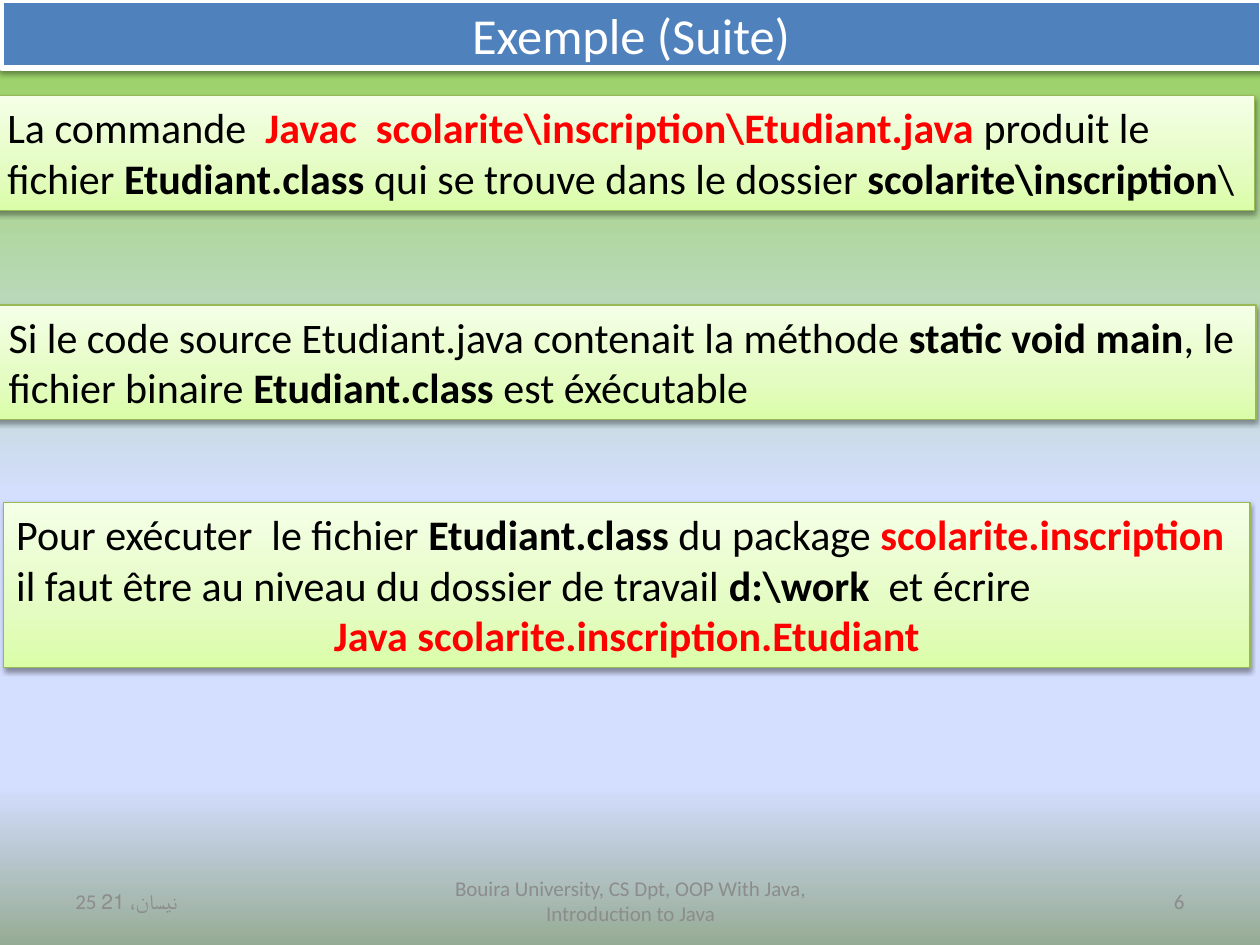
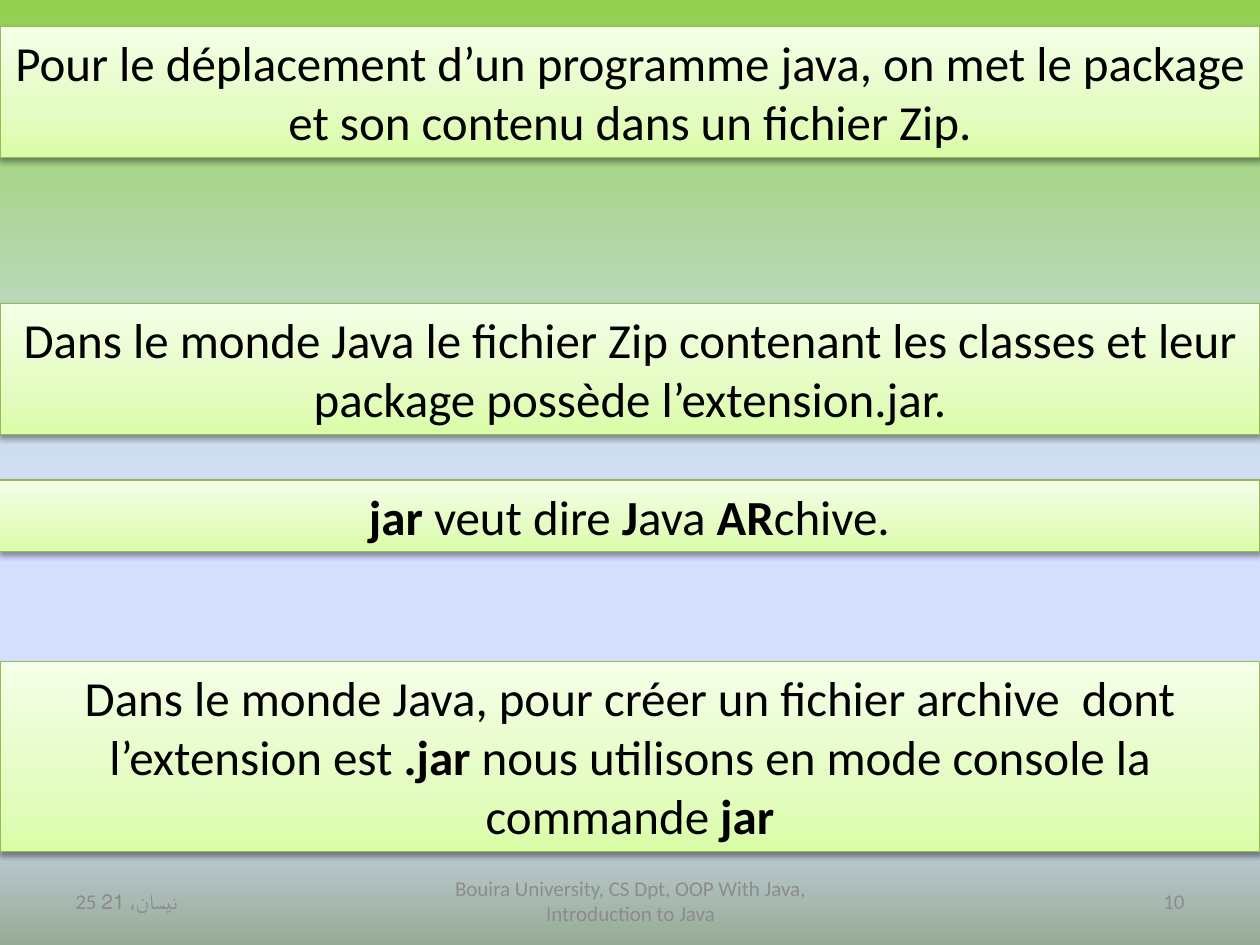
from copy import deepcopy
from lxml.etree import SubElement
from pptx import Presentation
from pptx.dml.color import RGBColor
from pptx.enum.shapes import MSO_SHAPE
from pptx.enum.text import MSO_ANCHOR, MSO_AUTO_SIZE, PP_ALIGN
from pptx.oxml.ns import qn
from pptx.util import Inches, Pt

BLACK = RGBColor(0, 0, 0)
WHITE = RGBColor(255, 255, 255)
RED = RGBColor(255, 0, 0)
BLUE = RGBColor(0x4F, 0x81, 0xBD)
GREY = RGBColor(0x8C, 0x8C, 0x8C)
EDGE = RGBColor(0x98, 0xB9, 0x55)
SKY = [(0, RGBColor(0x92, 0xD0, 0x50)), (53, RGBColor(0xD4, 0xDE, 0xFF)),
       (83, RGBColor(0xD4, 0xDE, 0xFF)), (100, RGBColor(0x96, 0xAB, 0x94))]
LIME = [(0, RGBColor(0xDA, 0xFD, 0xA7)), (35, RGBColor(0xE4, 0xFC, 0xC2)),
        (100, RGBColor(0xF5, 0xFF, 0xE7))]
FONT = "Calibri"
WIDE, HIGH = 10, 7.5
LEFT, MID, RIGHT = PP_ALIGN.LEFT, PP_ALIGN.CENTER, PP_ALIGN.RIGHT
LOOKS = {"plain": (BLACK, False), "bold": (BLACK, True), "red": (RED, True)}

DATE = "25 نيسان، 21"
NOTE = "Bouira University, CS Dpt, OOP With Java, Introduction to Java"

SLIDES = [
    {"title": "Exemple (Suite)", "page": "6", "size": 24, "boxes": [
        ((-0.04, 0.76, WIDE, 0.91), [(LEFT, [
            ("La commande  ", "plain"),
            ("Javac  scolarite\\inscription\\Etudiant.java ", "red"),
            ("produit le fichier ", "plain"),
            ("Etudiant.class", "bold"),
            (" qui se trouve dans le dossier ", "plain"),
            ("scolarite\\inscription", "bold"),
            ("\\", "plain")])]),
        ((-0.03, 2.42, WIDE, 0.91), [(LEFT, [
            ("Si le code source Etudiant.java contenait la méthode ", "plain"),
            ("static void main", "bold"),
            (", le fichier binaire ", "plain"),
            ("Etudiant.class ", "bold"),
            ("est éxécutable", "plain")])]),
        ((0.03, 3.99, 9.89, 1.31), [
            (LEFT, [
                ("Pour exécuter  le fichier ", "plain"),
                ("Etudiant.class", "bold"),
                (" du package ", "plain"),
                ("scolarite.inscription ", "red"),
                ("il faut être au niveau du dossier de travail ", "plain"),
                ("d:\\work ", "bold"),
                (" et écrire", "plain")]),
            (MID, [("Java scolarite.inscription.Etudiant", "red")])]),
    ]},
    {"title": None, "page": "10", "size": 28, "boxes": [
        ((0, 0.21, WIDE, 1.04), [(MID, [
            ("Pour le déplacement d’un programme java, on met le package "
             "et son contenu dans un fichier Zip.", "plain")])]),
        ((0, 2.41, WIDE, 1.04), [(MID, [
            ("Dans le monde Java le fichier Zip contenant les classes et leur "
             "package possède l’extension.jar.", "plain")])]),
        ((-0.01, 3.81, 10.01, 0.57), [(MID, [
            ("jar", "bold"), (" veut dire ", "plain"), ("J", "bold"),
            ("ava ", "plain"), ("AR", "bold"), ("chive.", "plain")])]),
        ((0, 5.25, WIDE, 1.51), [(MID, [
            ("Dans le monde Java, pour créer un fichier archive  dont "
             "l’extension est ", "plain"),
            (".jar ", "bold"),
            ("nous utilisons en mode console la commande ", "plain"),
            ("jar", "bold")])]),
    ]},
]


def blend(fill, owner, stops, angle):
    fill.gradient()
    fill.gradient_angle = angle
    row = owner.element.find(".//" + qn("a:gsLst"))
    seed = deepcopy(row[0])
    for old in list(row):
        row.remove(old)
    for at, tone in stops:
        stop = deepcopy(seed)
        for child in list(stop):
            stop.remove(child)
        stop.set("pos", str(at * 1000))
        SubElement(stop, qn("a:srgbClr"), val=str(tone))
        row.append(stop)


def shade(shape):
    shape.shadow.inherit = False
    group = shape.element.spPr.find(qn("a:effectLst"))
    cast = SubElement(group, qn("a:outerShdw"), blurRad=str(Pt(3.1)),
                      dist=str(Pt(1.6)), dir="5400000", rotWithShape="0")
    tone = SubElement(cast, qn("a:srgbClr"), val=str(BLACK))
    SubElement(tone, qn("a:alpha"), val="38000")


def place(shape, spot):
    shape.left, shape.top, shape.width, shape.height = map(Inches, spot)


def frame(shape, color, width):
    shape.line.color.rgb = color
    shape.line.width = Pt(width)
    shade(shape)


def write(para, text, size, color, bold=False):
    run = para.add_run()
    run.text = text
    run.font.name = FONT
    run.font.size = Pt(size)
    run.font.bold = bold
    run.font.color.rgb = color


def head(slide, text):
    title = slide.shapes.title
    place(title, (0.01, 0, WIDE, 0.54))
    title.fill.solid()
    title.fill.fore_color.rgb = BLUE
    frame(title, WHITE, 3)
    body = title.text_frame
    body.auto_size = MSO_AUTO_SIZE.NONE
    body.vertical_anchor = MSO_ANCHOR.MIDDLE
    para = body.paragraphs[0]
    para.alignment = MID
    write(para, text, 28.8, WHITE)


def panel(slide, spot, paras, size):
    box = slide.shapes.add_shape(MSO_SHAPE.RECTANGLE, *map(Inches, spot))
    blend(box.fill, box, LIME, 90)
    frame(box, EDGE, 0.75)
    body = box.text_frame
    body.word_wrap = True
    body.vertical_anchor = MSO_ANCHOR.TOP
    body.auto_size = MSO_AUTO_SIZE.SHAPE_TO_FIT_TEXT
    for i, (align, runs) in enumerate(paras):
        para = body.add_paragraph() if i else body.paragraphs[0]
        para.alignment = align
        for text, look in runs:
            write(para, text, size, *LOOKS[look])


def foot(slide, page):
    for left, width, align, text in [(0.5, 2.33, LEFT, DATE),
                                     (3.42, 3.17, MID, NOTE),
                                     (7.17, 2.33, RIGHT, page)]:
        box = slide.shapes.add_textbox(*map(Inches, (left, 6.95, width, 0.4)))
        body = box.text_frame
        body.word_wrap = True
        body.vertical_anchor = MSO_ANCHOR.MIDDLE
        para = body.paragraphs[0]
        para.alignment = align
        write(para, text, 12, GREY)


def main():
    deck = Presentation()
    deck.slide_width, deck.slide_height = Inches(WIDE), Inches(HIGH)
    base = deck.slide_master
    blend(base.background.fill, base, SKY, 270)
    for data in SLIDES:
        kind = 5 if data["title"] else 6
        slide = deck.slides.add_slide(deck.slide_layouts[kind])
        if data["title"]:
            head(slide, data["title"])
        foot(slide, data["page"])
        for spot, paras in data["boxes"]:
            panel(slide, spot, paras, data["size"])
    deck.save("out.pptx")


if __name__ == "__main__":
    main()
